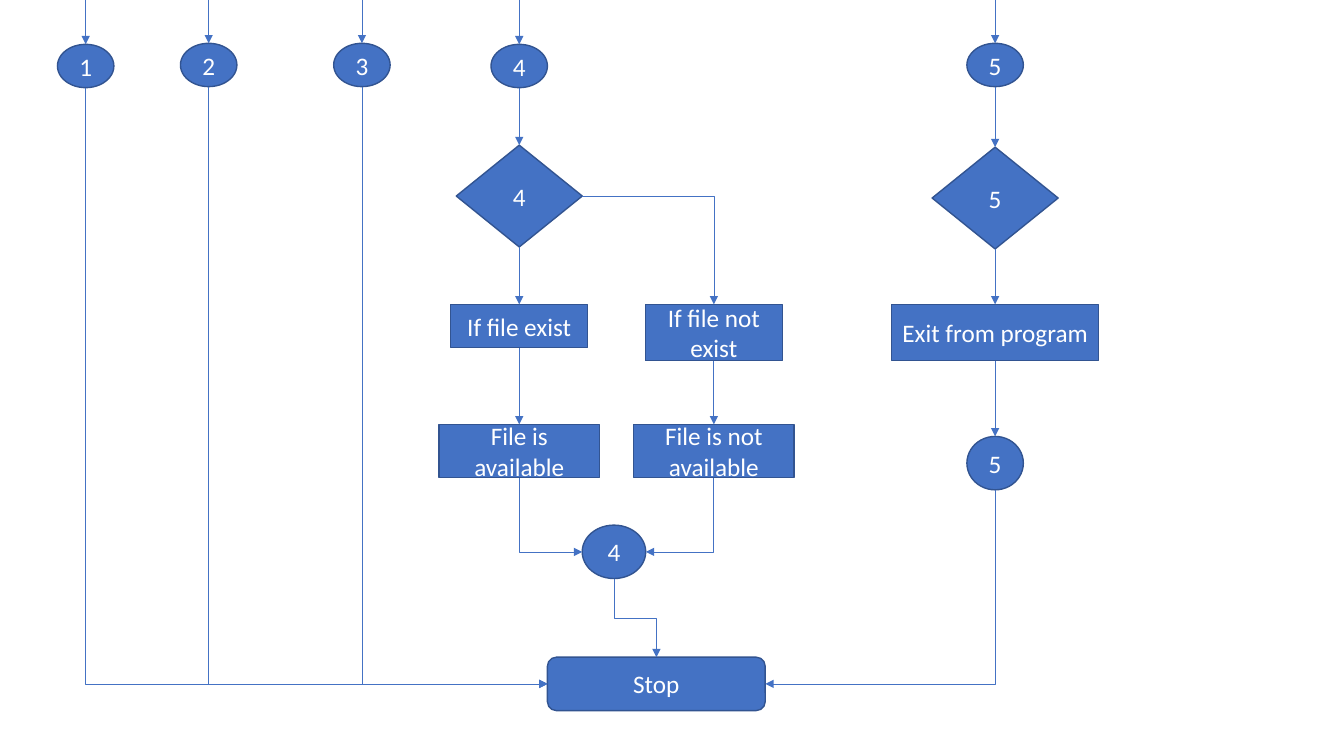
from dataclasses import dataclass
from enum import IntEnum

from lxml.etree import SubElement
from pptx import Presentation
from pptx.dml.color import RGBColor
from pptx.enum.shapes import MSO_CONNECTOR as Connector, MSO_SHAPE as Preset
from pptx.enum.text import MSO_ANCHOR, PP_ALIGN
from pptx.oxml.ns import qn
from pptx.util import Inches, Pt


@dataclass(frozen=True)
class Theme:
    fill: RGBColor = RGBColor(0x44, 0x72, 0xC4)
    outline: RGBColor = RGBColor(0x32, 0x54, 0x91)
    text: RGBColor = RGBColor(0xFF, 0xFF, 0xFF)
    font: str = "Calibri"
    size: Pt = Pt(18)
    outline_width: Pt = Pt(1)
    link_width: Pt = Pt(0.5)


class Side(IntEnum):
    """Sides in the order of a four-sided shape's connection sites."""
    TOP = 0
    LEFT = 1
    BOTTOM = 2
    RIGHT = 3


@dataclass(frozen=True)
class Node:
    """A flowchart step, placed by its centre line and top edge, in inches."""
    text: str
    preset: Preset
    x: float
    top: float
    width: float
    height: float

    def point(self, side: Side) -> tuple[float, float]:
        middle = self.top + self.height / 2
        return {
            Side.TOP: (self.x, self.top),
            Side.LEFT: (self.x - self.width / 2, middle),
            Side.BOTTOM: (self.x, self.top + self.height),
            Side.RIGHT: (self.x + self.width / 2, middle),
        }[side]

    def site(self, side: Side) -> int:
        # Circles have eight connection sites, the other steps four
        return side * 2 if self.preset == Preset.FLOWCHART_CONNECTOR else int(side)


@dataclass(frozen=True)
class Link:
    source: str
    target: str
    leave: Side = Side.BOTTOM
    enter: Side = Side.TOP


THEME = Theme()
CIRCLE, DIAMOND, BOX = Preset.FLOWCHART_CONNECTOR, Preset.DIAMOND, Preset.RECTANGLE

# Centre lines of the columns
FOUND_X, MISSING_X, EXIT_X = 5.15, 7.08, 9.87
ENTRIES = {"1": (0.85, 0.44), "2": (2.07, 0.43), "3": (3.59, 0.43),
           "4": (FOUND_X, 0.44), "5": (EXIT_X, 0.43)}

NODES = {f"entry {n}": Node(n, CIRCLE, x, top, 0.56, 0.43)
         for n, (x, top) in ENTRIES.items()}
NODES |= {
    "choice 4": Node("4", DIAMOND, FOUND_X, 1.44, 1.25, 1.01),
    "exists": Node("If file exist", BOX, FOUND_X, 3.02, 1.36, 0.43),
    "available": Node("File is available", BOX, FOUND_X, 4.21, 1.59, 0.53),
    "not exists": Node("If file not exist", BOX, MISSING_X, 3.02, 1.36, 0.56),
    "not available": Node("File is not available", BOX, MISSING_X, 4.21, 1.59, 0.53),
    "join 4": Node("4", CIRCLE, 6.09, 5.21, 0.63, 0.53),
    "choice 5": Node("5", DIAMOND, EXIT_X, 1.46, 1.25, 1.01),
    "exit": Node("Exit from program", BOX, EXIT_X, 3.02, 2.05, 0.56),
    "join 5": Node("5", CIRCLE, EXIT_X, 4.33, 0.56, 0.53),
    "stop": Node("Stop", Preset.ROUNDED_RECTANGLE, 6.51, 6.52, 2.16, 0.53),
}

LINKS = [
    Link("entry 4", "choice 4"),
    Link("choice 4", "exists"),
    Link("exists", "available"),
    Link("choice 4", "not exists", leave=Side.RIGHT),
    Link("not exists", "not available"),
    Link("available", "join 4", enter=Side.LEFT),
    Link("not available", "join 4", enter=Side.RIGHT),
    Link("join 4", "stop"),
    Link("entry 5", "choice 5"),
    Link("choice 5", "exit"),
    Link("exit", "join 5"),
    Link("join 5", "stop", enter=Side.RIGHT),
    *(Link(f"entry {n}", "stop", enter=Side.LEFT) for n in "123"),
]


def draw_node(shapes, node: Node):
    step = shapes.add_shape(node.preset, Inches(node.x - node.width / 2),
                            Inches(node.top), Inches(node.width), Inches(node.height))
    step.shadow.inherit = False
    step.fill.solid()
    step.fill.fore_color.rgb = THEME.fill
    step.line.color.rgb = THEME.outline
    step.line.width = THEME.outline_width

    frame = step.text_frame
    frame.text = node.text
    frame.word_wrap = True
    frame.vertical_anchor = MSO_ANCHOR.MIDDLE
    label = frame.paragraphs[0]
    label.alignment = PP_ALIGN.CENTER
    font = label.runs[0].font
    font.name, font.size, font.color.rgb = THEME.font, THEME.size, THEME.text
    return step


def draw_arrow(shapes, kind: Connector, start: tuple[float, float],
               end: tuple[float, float]):
    arrow = shapes.add_connector(kind, *map(Inches, (*start, *end)))
    arrow.line.color.rgb = THEME.fill
    arrow.line.width = THEME.link_width
    properties = arrow.element.spPr
    SubElement(properties.find(qn("a:ln")), qn("a:tailEnd"), type="triangle")
    SubElement(properties, qn("a:effectLst"))
    return arrow


def draw_elbow(shapes, link: Link, start: tuple[float, float],
               end: tuple[float, float]):
    (x1, y1), (x2, y2) = start, end
    across, down = abs(x2 - x1), y2 - y1
    starts_down = link.leave == Side.BOTTOM
    # A route that starts downwards is a sideways elbow turned a quarter
    width, height = (down, across) if starts_down else (across, down)
    left, top = (x1 + x2 - width) / 2, (y1 + y2 - height) / 2
    arrow = draw_arrow(shapes, Connector.ELBOW, (left, top),
                       (left + width, top + height))
    properties = arrow.element.spPr
    if starts_down:
        frame = properties.find(qn("a:xfrm"))
        to_right = x2 > x1
        frame.set("rot", str((270 if to_right else 90) * 60000))
        if to_right:
            frame.set("flipH", "1")
    if not (starts_down and link.enter == Side.TOP):
        properties.find(qn("a:prstGeom")).set("prst", "bentConnector2")
    return arrow


def glue(arrow, tag: str, step, site: int) -> None:
    ends = arrow.element.find(f"{qn('p:nvCxnSpPr')}/{qn('p:cNvCxnSpPr')}")
    SubElement(ends, qn(tag), id=str(step.shape_id), idx=str(site))


def draw_link(shapes, link: Link, steps: dict) -> None:
    source, target = NODES[link.source], NODES[link.target]
    start, end = source.point(link.leave), target.point(link.enter)
    if start[0] == end[0]:
        arrow = draw_arrow(shapes, Connector.STRAIGHT, start, end)
    else:
        arrow = draw_elbow(shapes, link, start, end)
    glue(arrow, "a:stCxn", steps[link.source], source.site(link.leave))
    glue(arrow, "a:endCxn", steps[link.target], target.site(link.enter))


deck = Presentation()
deck.slide_width, deck.slide_height = Inches(13.33), Inches(7.5)
flowchart = deck.slides.add_slide(deck.slide_layouts[6]).shapes

# Steps
steps = {key: draw_node(flowchart, node) for key, node in NODES.items()}

# Arrows coming in from the top edge
for number, (x, top) in ENTRIES.items():
    incoming = draw_arrow(flowchart, Connector.STRAIGHT, (x, 0), (x, top))
    glue(incoming, "a:endCxn", steps[f"entry {number}"], Side.TOP.value)

# Arrows between steps
for link in LINKS:
    draw_link(flowchart, link, steps)

deck.save("out.pptx")
